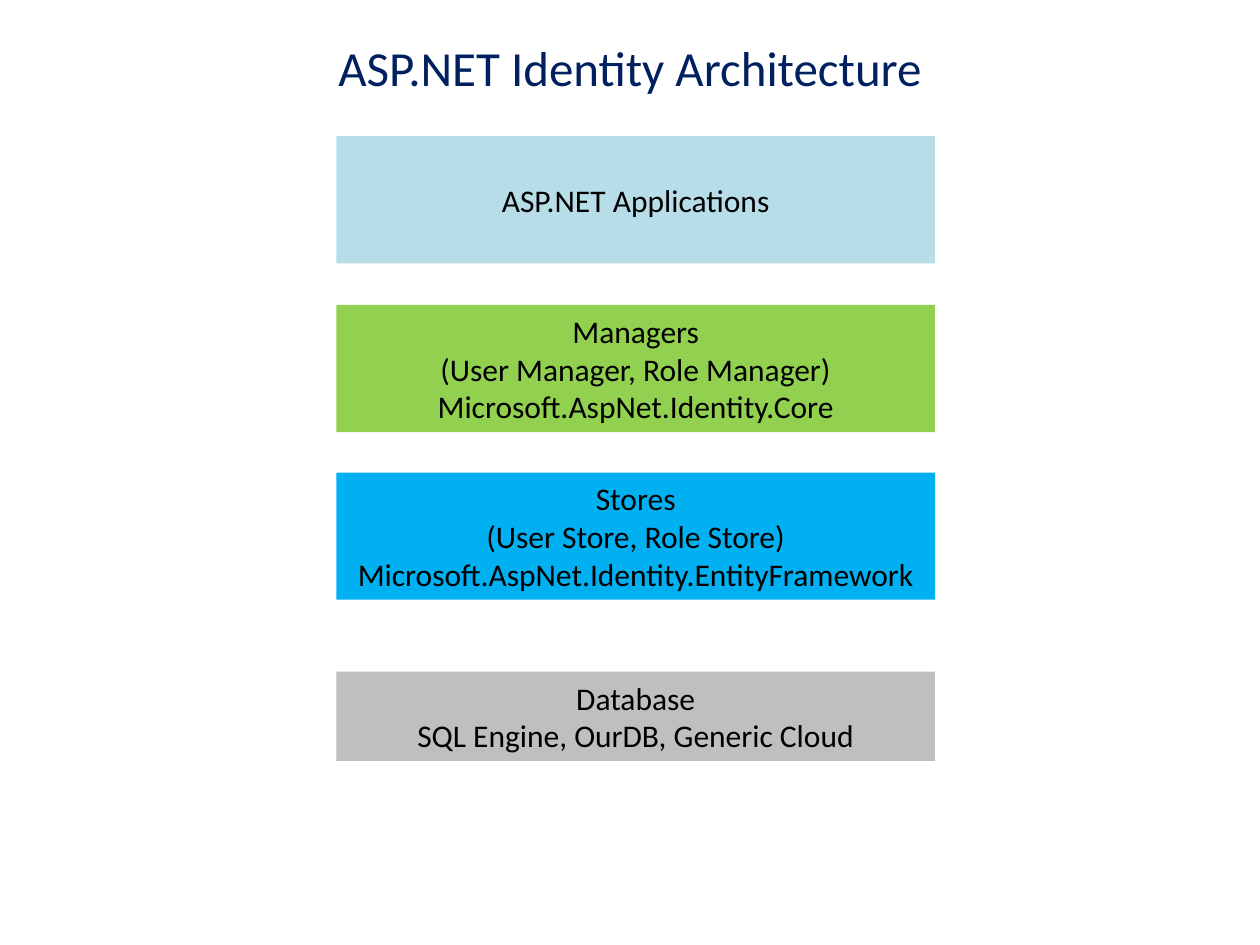
import pptx
import pptx.util
import pptx.dml.color
import pptx.enum.shapes
import pptx.enum.text

Inches = pptx.util.Inches
RGB = pptx.dml.color.RGBColor.from_string

TITLE = "ASP.NET Identity Architecture"
LAYERS = [
    ("sky", 1.08, 1.01, ["ASP.NET Applications"]),
    ("green", 2.42, 1.01, ["Managers", "(User Manager, Role Manager)",
                           "Microsoft.AspNet.Identity.Core"]),
    ("blue", 3.75, 1.01, ["Stores", "(User Store, Role Store)",
                          "Microsoft.AspNet.Identity.EntityFramework"]),
    ("gray", 5.33, 0.71, ["Database", "SQL Engine, OurDB, Generic Cloud"]),
]
THEME = {
    "font": "Calibri", "head": 28, "body": 18,
    "navy": "002060", "black": "000000",
    "sky": "B7DEE8", "green": "92D050", "blue": "00B0F0", "gray": "BFBFBF",
}
LEFT, WIDTH = 2.67, 4.75


def write(shape, lines, size, color):
    frame = shape.text_frame
    frame.word_wrap = True
    frame.vertical_anchor = pptx.enum.text.MSO_ANCHOR.MIDDLE
    frame.text = "\n".join(lines)
    for para in frame.paragraphs:
        para.alignment = pptx.enum.text.PP_ALIGN.CENTER
        for run in para.runs:
            run.font.name = THEME["font"]
            run.font.size = pptx.util.Pt(THEME[size])
            run.font.color.rgb = RGB(THEME[color])


def main():
    deck = pptx.Presentation()
    deck.slide_width, deck.slide_height = Inches(10), Inches(7.5)
    slide = deck.slides.add_slide(deck.slide_layouts[6])

    for fill, top, height, lines in LAYERS:
        box = slide.shapes.add_shape(
            pptx.enum.shapes.MSO_SHAPE.RECTANGLE,
            Inches(LEFT), Inches(top), Inches(WIDTH), Inches(height))
        box.shadow.inherit = False
        box.fill.solid()
        box.fill.fore_color.rgb = RGB(THEME[fill])
        box.line.fill.background()
        write(box, lines, "body", "black")

    title = slide.shapes.add_textbox(
        Inches(0), Inches(0.25), Inches(10), Inches(0.57))
    write(title, [TITLE], "head", "navy")
    deck.save("out.pptx")


if __name__ == "__main__":
    main()
